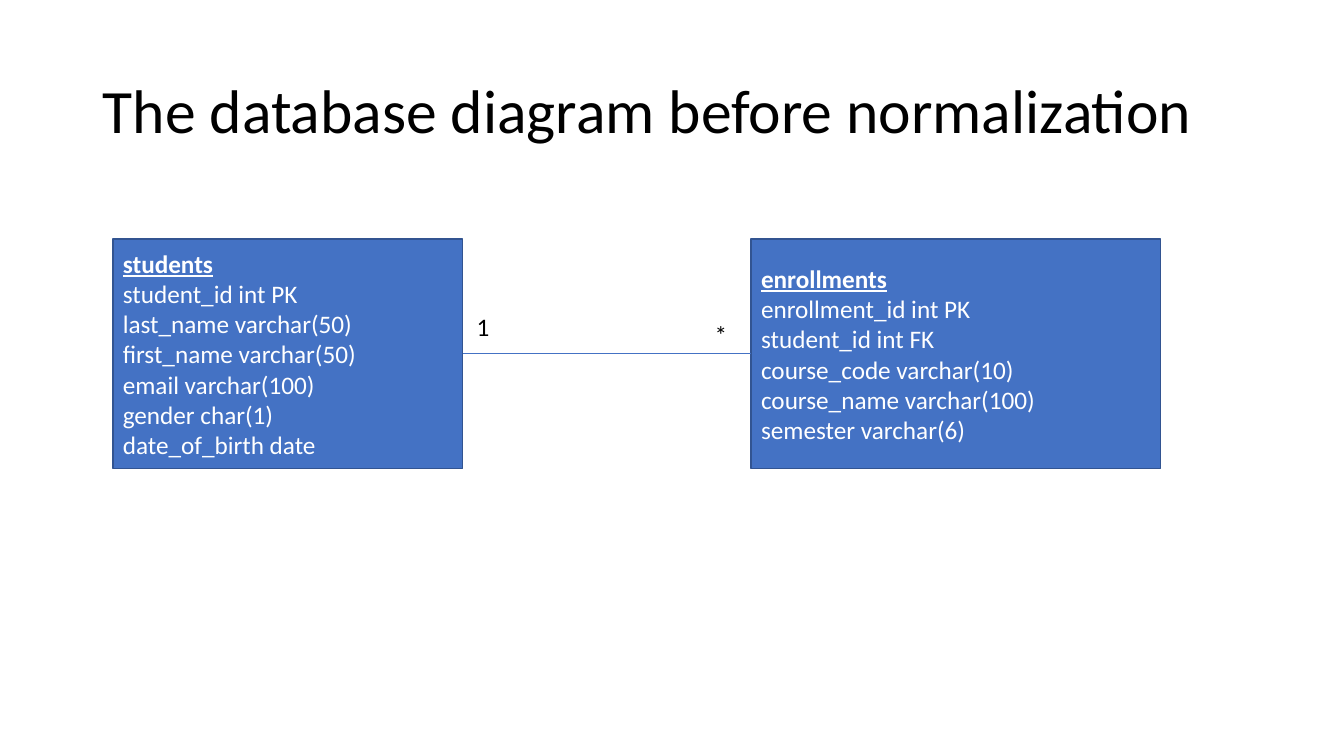
"""Build a slide with a two-table database diagram and its one-to-many link."""
from lxml.etree import SubElement
from pptx import Presentation
from pptx.dml.color import RGBColor
from pptx.enum.shapes import MSO_CONNECTOR as Connector, MSO_SHAPE as Shape
from pptx.enum.text import MSO_ANCHOR as Anchor, PP_ALIGN as Align
from pptx.oxml.ns import qn
from pptx.util import Inches, Pt

FONT = "Calibri"
COLORS = {
    "white": "FFFFFF",
    "black": "000000",
    "table": "4472C4",
    "border": "325491",
}
TABLE_TOP, TABLE_HEIGHT = 2.37, 2.28
STUDENTS = ["student_id int PK", "last_name varchar(50)", "first_name varchar(50)",
            "email varchar(100)", "gender char(1)", "date_of_birth date"]
ENROLLMENTS = ["enrollment_id int PK", "student_id int FK", "course_code varchar(10)",
               "course_name varchar(100)", "semester varchar(6)"]


def color(name):
    return RGBColor.from_string(COLORS[name])


def add_run(para, text, size, ink, heading=False):
    para.alignment = Align.LEFT
    span = para.add_run()
    span.text = text
    span.font.name = FONT
    span.font.size = Pt(size)
    span.font.color.rgb = color(ink)
    span.font.bold = heading
    span.font.underline = heading


def set_title(page, text):
    title = page.shapes.title
    title.left, title.top = Inches(0.92), Inches(0.4)
    title.width, title.height = Inches(11.5), Inches(1.45)
    frame = title.text_frame
    frame.word_wrap = True
    frame.vertical_anchor = Anchor.MIDDLE
    para = frame.paragraphs[0]
    para.line_spacing = 0.9
    add_run(para, text, 44, "black")


def add_box(page, left, top, width, height, fill, anchor):
    box = page.shapes.add_shape(Shape.RECTANGLE, Inches(left), Inches(top),
                                Inches(width), Inches(height))
    box.shadow.inherit = False
    box.fill.solid()
    box.fill.fore_color.rgb = color(fill)
    box.line.fill.background()
    box.text_frame.word_wrap = True
    box.text_frame.vertical_anchor = anchor
    return box


def add_entity(page, left, width, name, columns):
    box = add_box(page, left, TABLE_TOP, width, TABLE_HEIGHT, "table", Anchor.MIDDLE)
    box.line.color.rgb = color("border")
    box.line.width = Pt(1)
    frame = box.text_frame
    add_run(frame.paragraphs[0], name, 18, "white", heading=True)
    for column in columns:
        add_run(frame.add_paragraph(), column, 18, "white")
    return box


def add_relation(page, source, target):
    link = page.shapes.add_connector(Connector.ELBOW, 0, 0, 0, 0)
    link.begin_connect(source, 3)
    link.end_connect(target, 1)
    link.line.color.rgb = color("table")
    link.line.width = Pt(0.5)
    SubElement(link._element.spPr, qn("a:effectLst"))


def add_multiplicity(page, left, top, text):
    box = add_box(page, left, top, 0.29, 0.3, "white", Anchor.TOP)
    add_run(box.text_frame.paragraphs[0], text, 18, "black")


def main():
    deck = Presentation()
    deck.slide_width, deck.slide_height = Inches(13.33), Inches(7.5)
    page = deck.slides.add_slide(deck.slide_layouts[5])
    set_title(page, "The database diagram before normalization")
    students = add_entity(page, 1.12, 3.47, "students", STUDENTS)
    enrollments = add_entity(page, 7.45, 4.06, "enrollments", ENROLLMENTS)
    add_relation(page, students, enrollments)
    add_multiplicity(page, 4.63, 3.04, "1")
    add_multiplicity(page, 6.99, 3.12, "*")
    deck.save("out.pptx")


main()
